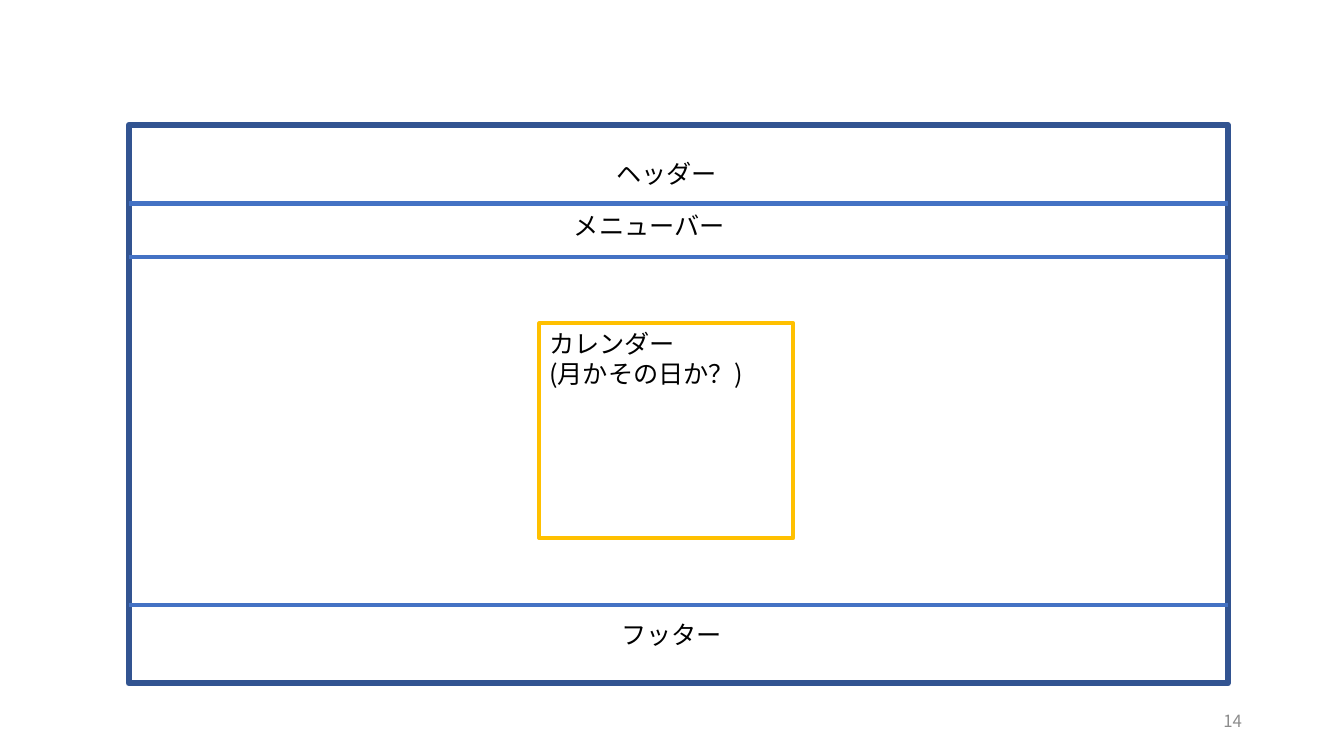
from dataclasses import dataclass
from typing import NamedTuple

from lxml.etree import SubElement
from pptx import Presentation
from pptx.dml.color import RGBColor
from pptx.enum.shapes import MSO_CONNECTOR as Connector, MSO_SHAPE as Preset
from pptx.enum.text import MSO_ANCHOR as Anchor, PP_ALIGN as Align
from pptx.oxml.ns import qn
from pptx.util import Cm, Pt


@dataclass(frozen=True)
class Theme:
    font: str = "Noto Sans CJK JP"
    body_size: int = 18
    number_size: int = 12
    text: str = "000000"
    muted: str = "8C8C8C"
    frame: str = "325491"
    divider: str = "4472C4"
    calendar: str = "FFC000"
    frame_width: float = 4.5
    line_width: float = 3


class Box(NamedTuple):
    left: float
    top: float
    width: float
    height: float

    def inner(self, left, top, width, height):
        return Box(self.left + left, self.top + top, width, height)

    def lengths(self):
        return [Cm(value) for value in self]


THEME = Theme()


def style_line(line, color, width):
    line.color.rgb = RGBColor.from_string(color)
    line.width = Pt(width)


def write_text(frame, lines, align, size=THEME.body_size, color=THEME.text, anchor=Anchor.TOP):
    frame.word_wrap = True
    frame.vertical_anchor = anchor
    frame.text = "\n".join(lines)
    for paragraph in frame.paragraphs:
        paragraph.alignment = align
        font = paragraph.font
        font.size = Pt(size)
        font.name = THEME.font
        font.color.rgb = RGBColor.from_string(color)
        properties = paragraph._p.get_or_add_pPr().find(qn("a:defRPr"))
        SubElement(properties, qn("a:ea"), typeface=THEME.font)


def add_outline(slide, box, color, width):
    shape = slide.shapes.add_shape(Preset.RECTANGLE, *box.lengths())
    shape.shadow.inherit = False
    shape.fill.background()
    style_line(shape.line, color, width)
    return shape


def add_divider(slide, box, offset):
    left, top, width, _ = box
    y = Cm(top + offset)
    divider = slide.shapes.add_connector(Connector.STRAIGHT, Cm(left), y, Cm(left + width), y)
    style_line(divider.line, THEME.divider, THEME.line_width)
    SubElement(divider._element.spPr, qn("a:effectLst"))


def add_label(slide, box, text, align=Align.CENTER, **style):
    label = slide.shapes.add_textbox(*box.lengths())
    write_text(label.text_frame, [text], align, **style)


def add_calendar(slide, box):
    calendar = add_outline(slide, box, THEME.calendar, THEME.line_width)
    write_text(calendar.text_frame, ["カレンダー", "(月かその日か？)"], Align.LEFT)


def add_page_layout(slide, box):
    add_outline(slide, box, THEME.frame, THEME.frame_width)
    for offset in (1.98, 3.33, 12.09):
        add_divider(slide, box, offset)
    for text, left, top in (
        ("ヘッダー", 8.26, 0.71),
        ("メニューバー", 7.82, 2.03),
        ("フッター", 8.38, 12.34),
    ):
        add_label(slide, box.inner(left, top, 10.59, 1.02), text)
    add_calendar(slide, box.inner(10.34, 5, 6.4, 5.41))


def add_page_number(slide, box, number):
    add_label(slide, box, str(number), Align.RIGHT, size=THEME.number_size,
              color=THEME.muted, anchor=Anchor.MIDDLE)


presentation = Presentation()
presentation.slide_width = Cm(33.87)
presentation.slide_height = Cm(19.05)
slide = presentation.slides.add_slide(presentation.slide_layouts[6])
add_page_layout(slide, Box(3.25, 3.15, 27.69, 14.07))
add_page_number(slide, Box(23.93, 17.65, 7.62, 1.02), 14)
presentation.save("out.pptx")
